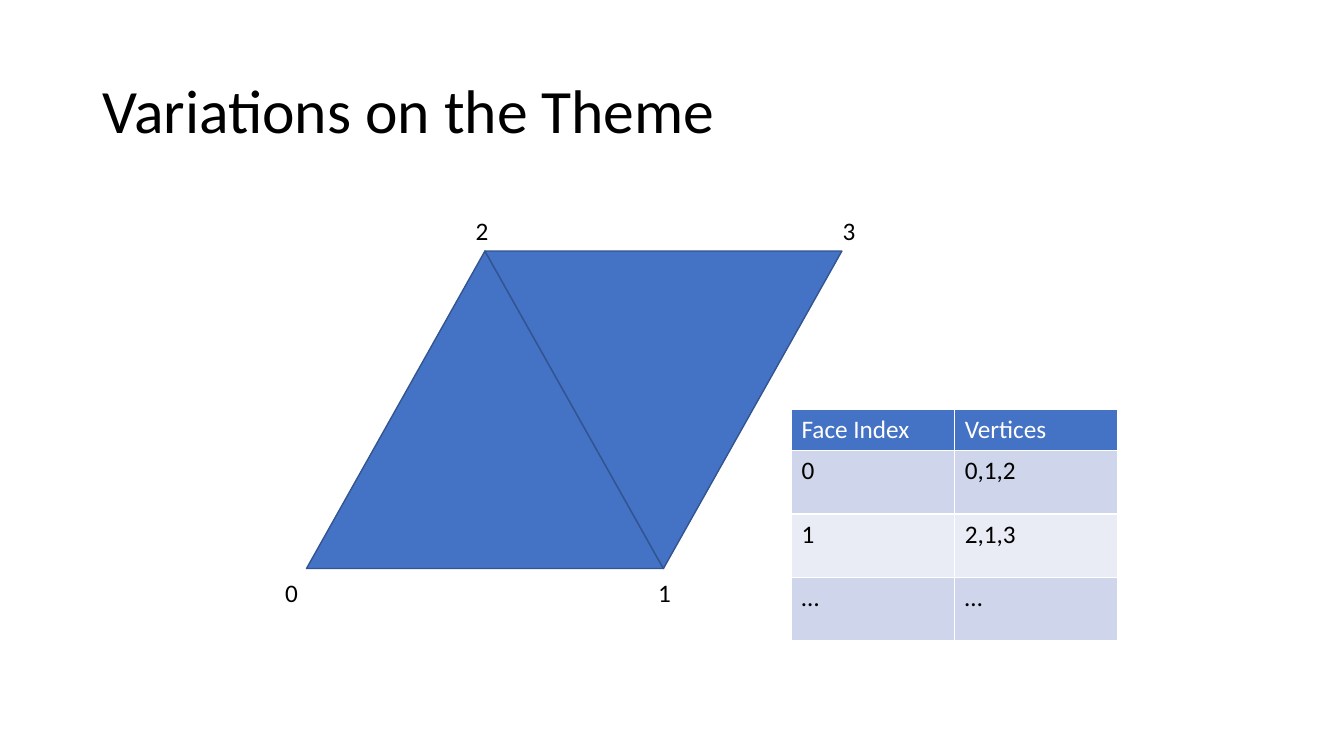
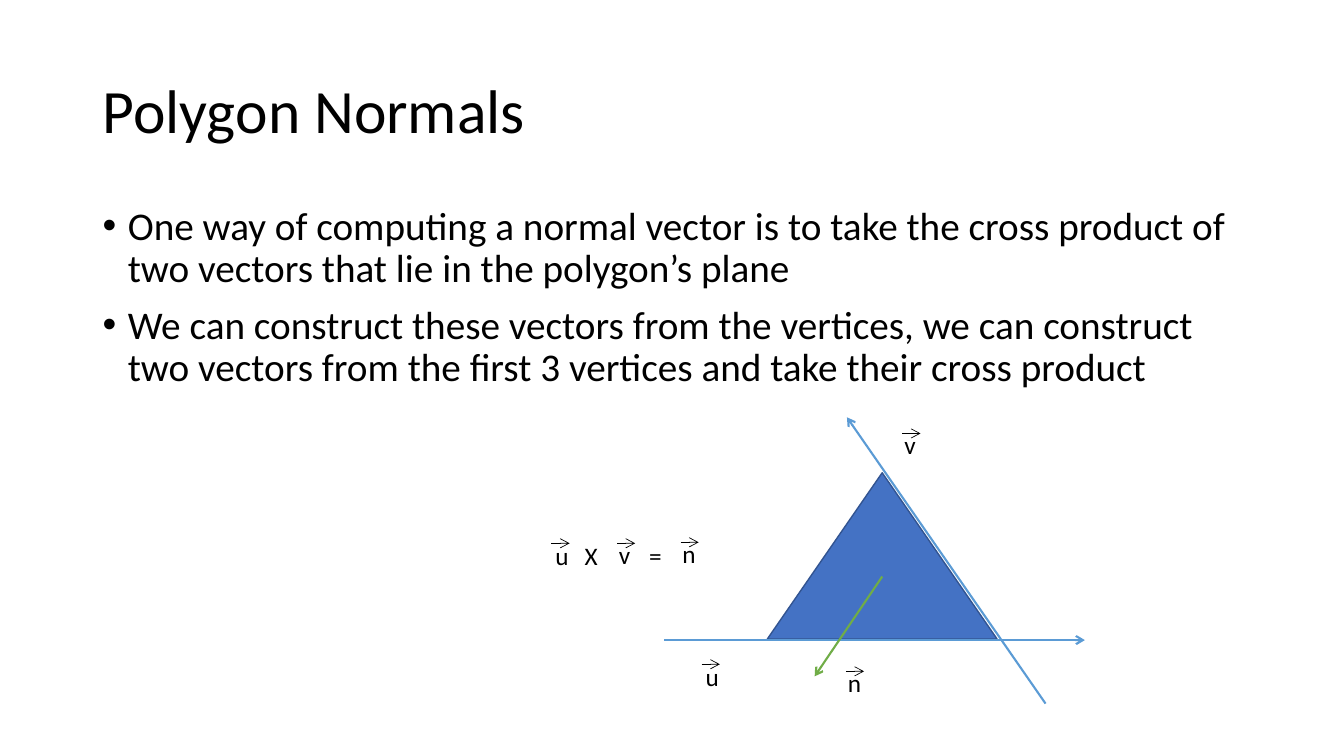
"""Build two slides on mesh faces and polygon normals."""
import lxml.etree
import pptx
import pptx.dml.color
import pptx.enum.shapes
import pptx.enum.text
import pptx.oxml
import pptx.oxml.ns
import pptx.util

SCALE = 9144
SHAPES = pptx.enum.shapes.MSO_SHAPE
ANCHOR = pptx.enum.text.MSO_ANCHOR


def px(size):
    """Turn px, a hundred to the inch, into EMU."""
    return pptx.util.Emu(size * SCALE)


def color(code):
    """Turn a hex string into a colour."""
    return pptx.dml.color.RGBColor.from_string(code)


def add(parent, tag, **attrs):
    """Append one drawing element to an XML parent."""
    node = lxml.etree.SubElement(parent, pptx.oxml.ns.qn(tag))
    for key, value in attrs.items():
        node.set(key, str(value))
    return node


def write(frame, text, size=18, ink="000000", font="Calibri", space=1.0, before=0, bullet=None):
    """Fill a text frame, one paragraph for each line."""
    frame.word_wrap = True
    for i, line in enumerate(text.split("\n")):
        para = frame.add_paragraph() if i else frame.paragraphs[0]
        para.line_spacing = space
        para.space_before = pptx.util.Pt(before)
        run = para.add_run()
        run.text = line
        run.font.size = pptx.util.Pt(size)
        run.font.name = font
        run.font.bold = False
        run.font.color.rgb = color(ink)
        if bullet:
            props = para._p.get_or_add_pPr()
            props.set("marL", str(px(25)))
            props.set("indent", str(px(-25)))
            add(props, "a:buFont", typeface="Arial")
            add(props, "a:buChar", char=bullet)


class Deck:
    """Hold the style and the current slide."""

    black, white = "000000", "FFFFFF"
    blue, edge, sky, green = "4472C4", "325491", "5B9BD5", "70AD47"
    bands = "CFD5EA", "E9EBF5"

    def __init__(self):
        """Start a wide deck."""
        self.show = pptx.Presentation()
        self.show.slide_width = px(1333)
        self.show.slide_height = px(750)
        self.slide = None

    def page(self, title):
        """Add a slide with its title."""
        self.slide = self.show.slides.add_slide(self.show.slide_layouts[6])
        self.text(title, 92, 40, 1150, 145, anchor=ANCHOR.MIDDLE, size=44, space=0.9)

    def text(self, text, x, y, w=71, h=40, anchor=ANCHOR.TOP, **style):
        """Add a text box."""
        box = self.slide.shapes.add_textbox(px(x), px(y), px(w), px(h))
        box.text_frame.vertical_anchor = anchor
        write(box.text_frame, text, **style)

    def wedge(self, x, y, w, h, turn=0):
        """Add a triangle."""
        shape = self.slide.shapes.add_shape(SHAPES.ISOSCELES_TRIANGLE, px(x), px(y), px(w), px(h))
        shape.rotation = turn
        shape.shadow.inherit = False
        shape.fill.solid()
        shape.fill.fore_color.rgb = color(self.blue)
        shape.line.color.rgb = color(self.edge)
        shape.line.width = pptx.util.Pt(1)

    def arrow(self, x1, y1, x2, y2, ink, width=1.5):
        """Add a line with an open head at its end."""
        kind = pptx.enum.shapes.MSO_CONNECTOR.STRAIGHT
        line = self.slide.shapes.add_connector(kind, px(x1), px(y1), px(x2), px(y2))
        line.line.color.rgb = color(ink)
        line.line.width = pptx.util.Pt(width)
        add(line.line._get_or_add_ln(), "a:tailEnd", type="arrow")
        add(line._element.spPr, "a:effectLst")

    def vector(self, name, x, y):
        """Add a letter with a small arrow above it."""
        self.text(name, x, y)
        dx, dy = (6, 8) if name == "u" else (8, 9)
        self.arrow(x + dx, y + dy, x + dx + 18, y + dy, self.black, 0.5)

    def table(self, rows, x, y, wide, highs):
        """Add a table with a header and banded rows."""
        size = px(wide * len(rows[0])), px(sum(highs))
        grid = self.slide.shapes.add_table(len(rows), len(rows[0]), px(x), px(y), *size).table
        for col in grid.columns:
            col.width = px(wide)
        for r, row in enumerate(rows):
            grid.rows[r].height = px(highs[r])
            fill = self.bands[(r - 1) % 2] if r else self.blue
            for c, text in enumerate(row):
                cell = grid.cell(r, c)
                props = cell._tc.get_or_add_tcPr()
                for side in "LRTB":
                    rule = add(props, "a:ln" + side, w=pptx.util.Pt(1))
                    add(add(rule, "a:solidFill"), "a:srgbClr", val=self.white)
                cell.fill.solid()
                cell.fill.fore_color.rgb = color(fill)
                write(cell.text_frame, text, ink=self.black if r else self.white)


def faces(deck):
    """Draw two joined faces and their index table."""
    deck.page("Variations on the Theme")
    left, top, side, high = 304, 249, 354, 315
    deck.wedge(left, top, side, high)
    deck.wedge(left + side // 2, top, side, high, turn=180)
    for i, (x, y) in enumerate([(273, 568), (643, 568), (462, 209), (826, 209)]):
        deck.text(str(i), x, y)
    rows = [("Face Index", "Vertices"), ("0", "0,1,2"), ("1", "2,1,3"), ("…", "…")]
    deck.table(rows, 785, 406, 162, [41, 63, 63, 63])


def normals(deck):
    """Draw a polygon with its normal and the cross product."""
    deck.page("Polygon Normals")
    deck.text(
        "One way of computing a normal vector is to take the cross product of "
        "two vectors that lie in the polygon’s plane\n"
        "We can construct these vectors from the vertices, we can construct "
        "two vectors from the first 3 vertices and take their cross product",
        92, 200, 1150, 476, size=28, space=0.9, before=10, bullet="•")
    deck.wedge(761, 469, 228, 165)
    deck.arrow(659, 635, 1076, 635, deck.sky)
    deck.arrow(1037, 698, 840, 414, deck.sky)
    deck.arrow(875, 572, 808, 671, deck.green)
    marks = [("u", 690, 651), ("v", 887, 421), ("n", 831, 657),
             ("u", 541, 531), ("v", 604, 530), ("n", 667, 529)]
    for mark in marks:
        deck.vector(*mark)
    deck.text("X", 570, 531, 40)
    deck.text("=", 634, 531, 40)


def main():
    """Build and save the deck."""
    deck = Deck()
    faces(deck)
    normals(deck)
    deck.show.save("out.pptx")


if __name__ == "__main__":
    main()
